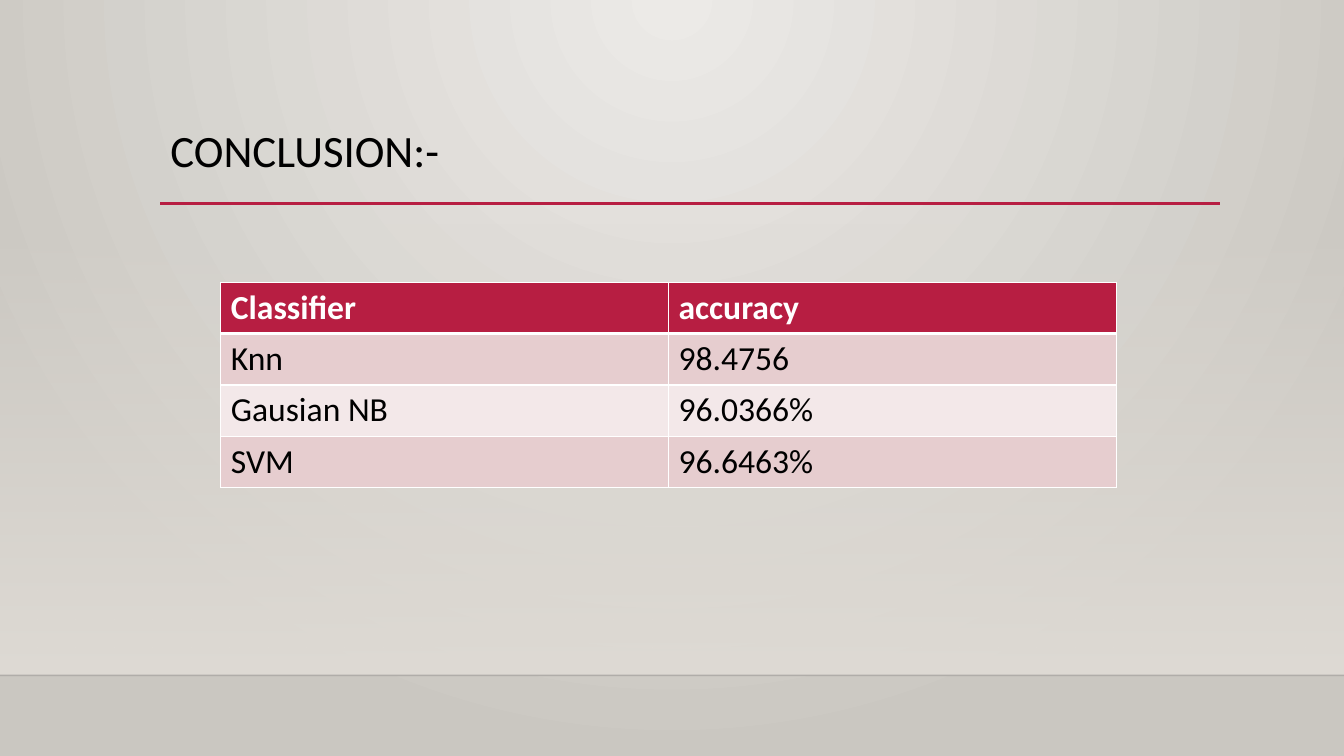
"""Build the conclusion slide comparing classifier accuracies."""
from dataclasses import dataclass

from pptx import Presentation
from pptx import oxml
from pptx import util as u
from pptx.dml import color
from pptx.enum import shapes, text
from pptx.oxml import ns

COLORS = {
    "accent": "B71E42", "white": "FFFFFF", "black": "000000", "edge": "000001",
    "odd_row": "E6CDCF", "even_row": "F3E8E9",
    "light": "ECEAE7", "dark": "CAC7C1", "floor": "DFDBD5",
}
ROWS = [
    ("Classifier", "accuracy"),
    ("Knn", "98.4756"),
    ("Gausian NB", "96.0366%"),
    ("SVM", "96.6463%"),
]


@dataclass
class Rule:
    left: float
    right: float
    top: float
    color: str
    width: float
    alpha: int = 100


@dataclass
class Stop:
    position: int
    color: str
    alpha: int = 100


RULES = [Rule(0, 13.33, 6.7, "edge", 1, 20), Rule(1.59, 12.1, 2.02, "accent", 2.5)]


def rgb(name: str) -> color.RGBColor:
    """Return the named colour."""
    return color.RGBColor.from_string(COLORS[name])


def set_gradient(element, stops: list[Stop], direction: str) -> None:
    """Replace the first gradient below an element."""
    stop_xml = "".join(
        f'<a:gs pos="{stop.position * 1000}"><a:srgbClr val="{COLORS[stop.color]}">'
        f'<a:alpha val="{stop.alpha * 1000}"/></a:srgbClr></a:gs>' for stop in stops)
    old = element.find(".//" + ns.qn("a:gradFill"))
    new = oxml.parse_xml(f'<a:gradFill {ns.nsdecls("a")} rotWithShape="1">'
                         f"<a:gsLst>{stop_xml}</a:gsLst>{direction}</a:gradFill>")
    old.getparent().replace(old, new)


def style_text(frame, content: str, **formats) -> None:
    """Write one paragraph and apply font values."""
    para = frame.paragraphs[0]
    span = para.add_run()
    span.text = content
    span.font.color.rgb = rgb(formats.pop("color"))
    for name, value in {"name": "Calibri", **formats}.items():
        setattr(span.font, name, value)


def draw_rule(page, rule: Rule) -> None:
    """Draw a horizontal line."""
    line = page.shapes.add_connector(
        shapes.MSO_CONNECTOR.STRAIGHT, u.Inches(rule.left), u.Inches(rule.top),
        u.Inches(rule.right), u.Inches(rule.top))
    line.line.color.rgb = rgb(rule.color)
    line.line.width = u.Pt(rule.width)
    properties = line.element.spPr
    if rule.alpha < 100:
        tint = properties.find(".//" + ns.qn("a:srgbClr"))
        tint.append(oxml.parse_xml(
            f'<a:alpha {ns.nsdecls("a")} val="{rule.alpha * 1000}"/>'))
    properties.append(oxml.parse_xml(f'<a:effectLst {ns.nsdecls("a")}/>'))


def set_borders(cell, widths: dict[str, float]) -> None:
    """Give a cell white borders of the given widths by side."""
    properties = cell._tc.get_or_add_tcPr()
    for side, width in widths.items():
        properties.append(oxml.parse_xml(
            f'<a:ln{side} {ns.nsdecls("a")} w="{u.Pt(width)}"><a:solidFill>'
            f'<a:srgbClr val="{COLORS["white"]}"/></a:solidFill></a:ln{side}>'))


def draw_table(page) -> None:
    """Draw the accuracy table."""
    height = 0.51
    table = page.shapes.add_table(
        len(ROWS), len(ROWS[0]), u.Inches(2.19), u.Inches(2.8),
        u.Inches(8.88), u.Inches(height * len(ROWS))).table
    for row_index, row in enumerate(ROWS):
        header = row_index == 0
        fill = "accent" if header else "odd_row" if row_index % 2 else "even_row"
        for column_index, content in enumerate(row):
            cell = table.cell(row_index, column_index)
            set_borders(cell, {"L": 1, "R": 1, "T": 3 if row_index == 1 else 1,
                               "B": 3 if header else 1})
            cell.fill.solid()
            cell.fill.fore_color.rgb = rgb(fill)
            style_text(cell.text_frame, content, size=u.Pt(24), bold=header,
                       color="white" if header else "black")


def draw_backdrop(page) -> None:
    """Draw the radial background and the fading floor panel."""
    page.background.fill.gradient()
    set_gradient(page.element, [Stop(0, "light"), Stop(100, "dark")],
                 '<a:path path="circle"><a:fillToRect l="43000" t="0" '
                 'r="43000" b="100000"/></a:path>')
    panel = page.shapes.add_shape(
        shapes.MSO_SHAPE.RECTANGLE, 0, u.Inches(2.21), u.Inches(13.33), u.Inches(4.49))
    panel.shadow.inherit = False
    panel.line.fill.background()
    panel.fill.gradient()
    set_gradient(panel.element, [Stop(0, "floor", 0), Stop(100, "floor")],
                 '<a:lin ang="5400000" scaled="0"/>')


def draw_title(page) -> None:
    """Place and format the title above the backdrop."""
    title = page.shapes.title
    title.element.getparent().append(title.element)
    for name, value in {"left": 1.59, "top": 1.23, "width": 10.5, "height": 0.8}.items():
        setattr(title, name, u.Inches(value))
    frame = title.text_frame
    for name, value in {"vertical_anchor": text.MSO_ANCHOR.TOP, "word_wrap": True,
                        "auto_size": text.MSO_AUTO_SIZE.NONE}.items():
        setattr(frame, name, value)
    style_text(frame, "CONCLUSION:-", size=u.Pt(32), color="black")
    frame.paragraphs[0].alignment = text.PP_ALIGN.LEFT
    frame.paragraphs[0].line_spacing = 0.9


def main() -> None:
    """Create and save the deck."""
    deck = Presentation()
    deck.slide_width, deck.slide_height = u.Inches(13.33), u.Inches(7.5)
    page = deck.slides.add_slide(deck.slide_layouts[5])
    draw_backdrop(page)
    for rule in RULES:
        draw_rule(page, rule)
    draw_title(page)
    draw_table(page)
    deck.save("out.pptx")


main()
